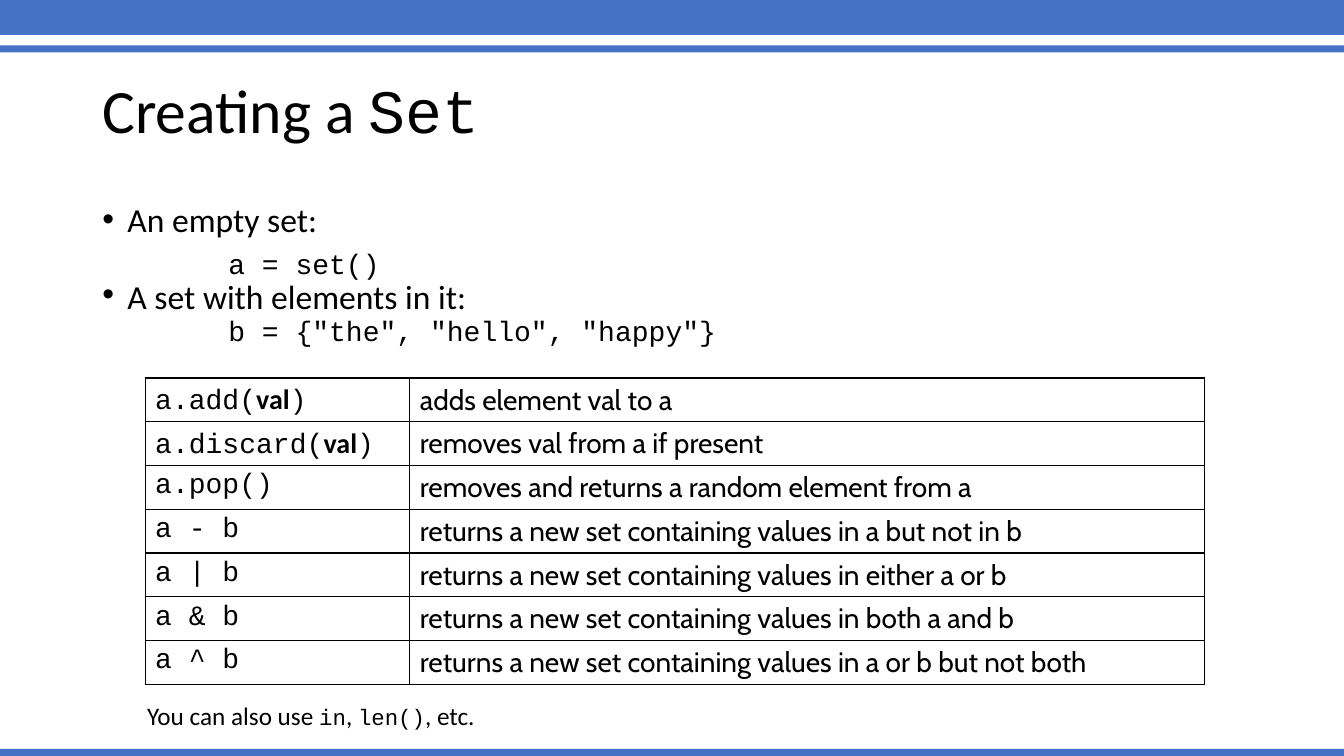
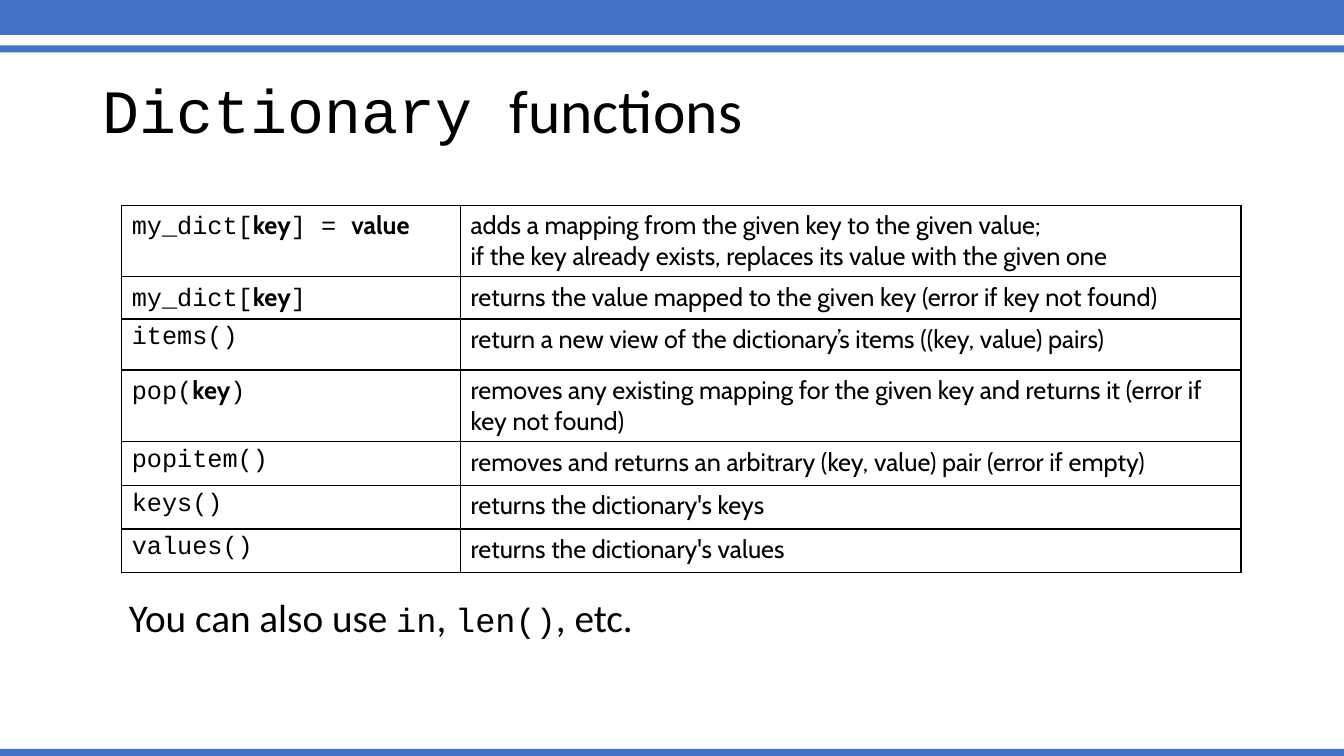
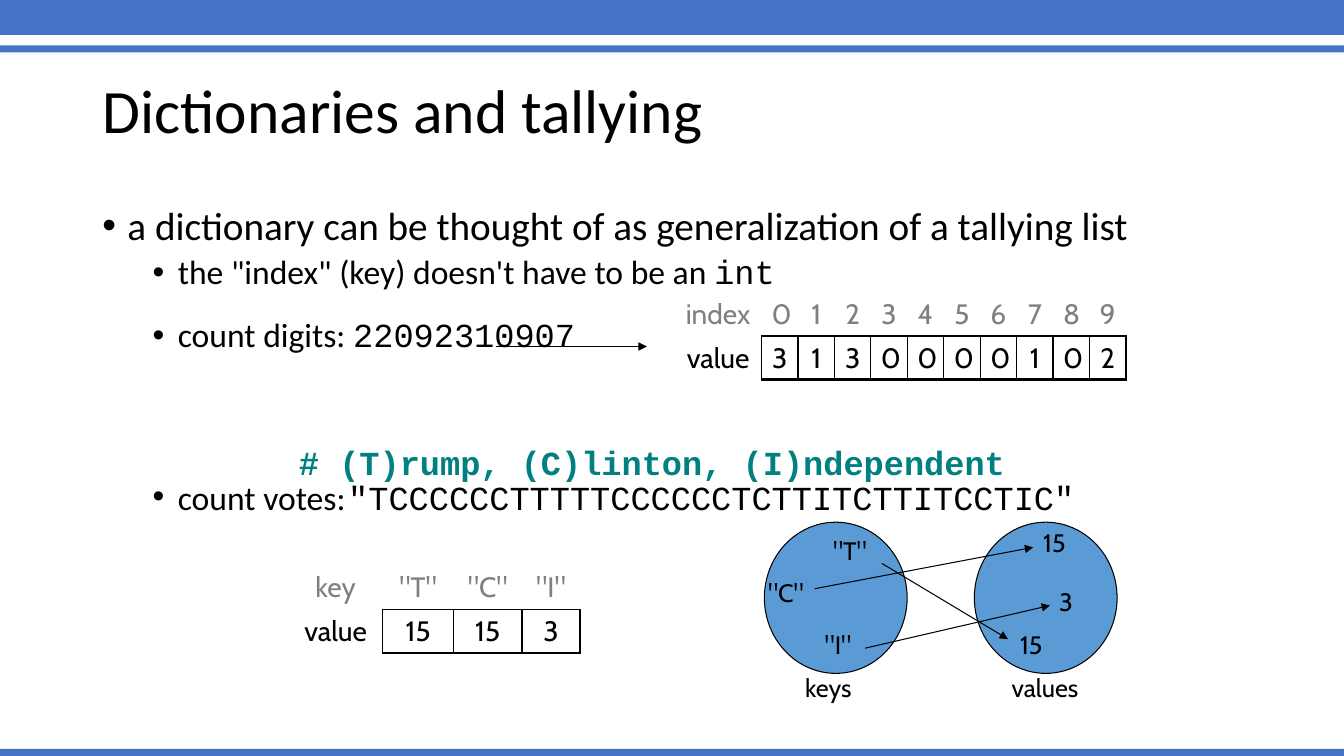
from dataclasses import dataclass
from itertools import accumulate

from lxml.etree import SubElement
from pptx import Presentation
from pptx.dml.color import RGBColor
from pptx.enum.shapes import MSO_CONNECTOR, MSO_SHAPE
from pptx.enum.text import MSO_ANCHOR, PP_ALIGN
from pptx.oxml.ns import qn
from pptx.util import Pt


@dataclass(frozen=True)
class Theme:
    band: str = "4472C4"
    disc: str = "5B9BD5"
    ink: str = "000000"
    gray: str = "808080"
    teal: str = "008080"
    sans: str = "Calibri"
    mono: str = "Courier New"
    cell: str = "Cabin"
    title: float = 44
    large: float = 28
    body: float = 24
    code: float = 20
    label: float = 18
    small: float = 16


T = Theme()
WIDTH, HEIGHT = 960, 540
TITLE = (66, 29, 828, 104)
BODY = (66, 144, 828, 343)
NO_STYLE = "{2D5ABB26-0587-4C30-8999-92F81FD0307C}"


def rgb(code):
    return RGBColor.from_string(code)


def pts(*values):
    return [Pt(v) for v in values]


def put(para, text, face=T.sans, size=T.body, bold=False, ink=T.ink):
    """Add text to a paragraph; a newline becomes a line break."""
    for i, line in enumerate(text.split("\n")):
        if i:
            para.add_line_break()
        run = para.add_run()
        run.text = line
        font = run.font
        font.name, font.size, font.bold = face, Pt(size), bold
        font.color.rgb = rgb(ink)


def code(para, text, size=T.code, **form):
    put(para, text, face=T.mono, size=size, **form)


def frame(slide, box, wrap=True, anchor=MSO_ANCHOR.TOP):
    area = slide.shapes.add_textbox(*pts(*box)).text_frame
    area.word_wrap = wrap
    area.vertical_anchor = anchor
    return area


def label(slide, x, y, wide, text):
    area = frame(slide, (x, y, wide, 29), wrap=False)
    put(area.paragraphs[0], text, face=T.cell, size=T.label)


def item(area, margin, above, lines, bullet=True, tab=None):
    """Add a list paragraph indented by margin, with space above it."""
    first = area.paragraphs[0]
    para = area.add_paragraph() if first.runs else first
    para.space_before, para.line_spacing = Pt(above), lines
    props = para._p.get_or_add_pPr()
    props.set("marL", str(Pt(margin)))
    props.set("indent", str(Pt(-18 if bullet else 0)))
    if bullet:
        SubElement(props, qn("a:buFont"), typeface="Arial")
        SubElement(props, qn("a:buChar"), char="•")
    if tab:
        tabs = SubElement(props, qn("a:tabLst"))
        SubElement(tabs, qn("a:tab"), pos=str(Pt(tab)), algn="l")
    return para


def shape(slide, kind, box, fill, line=None):
    form = slide.shapes.add_shape(kind, *pts(*box))
    form.shadow.inherit = False
    form.fill.solid()
    form.fill.fore_color.rgb = rgb(fill)
    if line:
        form.line.color.rgb = rgb(line)
        form.line.width = Pt(0.75)
    else:
        form.line.fill.background()
    return form


def arrow(slide, *ends):
    link = slide.shapes.add_connector(MSO_CONNECTOR.STRAIGHT, *pts(*ends))
    link.line.color.rgb = rgb(T.ink)
    link.line.width = Pt(0.75)
    props = link.element.spPr
    SubElement(props.find(qn("a:ln")), qn("a:tailEnd"), type="triangle")
    SubElement(props, qn("a:effectLst"))


def border(cell, sides):
    """Draw the sides given as a map from L, R, T, B to a width."""
    props = cell._tc.get_or_add_tcPr()
    for side in "LRTB":
        if side in sides:
            line = SubElement(props, qn("a:ln" + side), w=str(Pt(sides[side])))
            fill = SubElement(line, qn("a:solidFill"))
            SubElement(fill, qn("a:srgbClr"), val=T.ink)
    cell.fill.background()


def grid(slide, x, y, cols, rows):
    """Add an unstyled table with the given column widths and row heights."""
    box = pts(x, y, sum(cols), sum(rows))
    holder = slide.shapes.add_table(len(rows), len(cols), *box)
    table = holder.table
    table.first_row = table.horz_banding = False
    holder.element.find(".//" + qn("a:tableStyleId")).text = NO_STYLE
    for col, wide in zip(table.columns, cols):
        col.width = Pt(wide)
    for row, tall in zip(table.rows, rows):
        row.height = Pt(tall)
    return table


def calls(slide, x, y, cols, rows, data, size, bold):
    """Table of calls and meanings; bold is the face of the arguments,
    which stand between asterisks."""
    table = grid(slide, x, y, cols, rows)
    for r, (call, sense) in enumerate(data):
        left, right = table.cell(r, 0), table.cell(r, 1)
        para = left.text_frame.paragraphs[0]
        for i, part in enumerate(call.split("*")):
            if part:
                put(para, part, face=bold if i % 2 else T.mono,
                    size=size, bold=bool(i % 2))
        put(right.text_frame.paragraphs[0], sense, face=T.cell, size=size)
        for cell in (left, right):
            border(cell, dict.fromkeys("LRTB", 1))


def tally(slide, x, y, cols, heads, counts):
    """Two rows: gray heads over boxed counts, with a name at the left."""
    table = grid(slide, x, y, cols, [31.2] * 2)
    last = len(cols) - 1
    for r, row in enumerate((heads, counts)):
        for c, text in enumerate(row):
            cell = table.cell(r, c)
            para = cell.text_frame.paragraphs[0]
            para.alignment = PP_ALIGN.CENTER
            put(para, text, face=T.cell, size=T.code,
                ink=T.ink if r else T.gray)
            if r and c:
                sides = dict(L=1, T=1, R=2.25 if c == last else 1, B=2.25)
            elif r:
                sides = dict(R=1)
            else:
                sides = dict(B=1) if c else {}
            border(cell, sides)


def mapping(slide, x, y):
    """Two discs, with arrows from the keys to the values."""
    for left in (0, 150):
        shape(slide, MSO_SHAPE.OVAL, (x + left, y, 102, 108), T.disc, T.ink)
    for dx, dy, wide, text in (
        (42, 6, 40, '"T"'), (-4.5, 36, 40, '"C"'), (36, 73, 36, '"I"'),
        (175.5, 73, 34.5, "15"), (203.5, 42, 24.5, "3"),
        (192, 0, 34.5, "15"), (22, 104, 50, "keys"), (169.5, 104, 65, "values"),
    ):
        label(slide, x + dx, y + dy, wide, text)
    for x1, y1, x2, y2 in ((84, 29.5, 174, 83.5), (36, 47.5, 192, 18),
                           (72, 90, 204, 59.5)):
        arrow(slide, x + x1, y + y1, x + x2, y + y2)


def also(para, size, mono):
    put(para, "You can also use ", size=size)
    code(para, "in", size=mono)
    put(para, ", ", size=size)
    code(para, "len()", size=mono)
    put(para, ", etc.", size=size)


def bands(deck, slide):
    """Move the three bands to the master, behind all else."""
    tree = deck.slide_master.shapes.element
    for top, tall in ((0, 25), (32.4, 5), (535, 5)):
        band = shape(slide, MSO_SHAPE.RECTANGLE, (0, top, WIDTH, tall), T.band)
        tree.insert(2, band.element)


def page(deck, *parts):
    """Add a slide whose title is made of (text, face) parts."""
    slide = deck.slides.add_slide(deck.slide_layouts[5])
    title = slide.shapes.title
    title.left, title.top, title.width, title.height = pts(*TITLE)
    area = title.text_frame
    area.word_wrap = True
    area.vertical_anchor = MSO_ANCHOR.MIDDLE
    para = area.paragraphs[0]
    para.alignment, para.line_spacing = PP_ALIGN.LEFT, 0.9
    for text, face in parts:
        put(para, text, face=face, size=T.title)
    return slide


def sets(deck):
    slide = page(deck, ("Creating a ", T.sans), ("Set", T.mono))
    area = frame(slide, BODY)
    for head, line, lines in (
        ("An empty set:", "a = set()", 0.8),
        ("A set with elements in it:", 'b = {"the", "hello", "happy"}', 0.5),
    ):
        put(item(area, 18, 10, lines), head)
        code(item(area, 90, 10, lines, bullet=False), line)
    calls(slide, 103.7, 270, (189, 567.5), [31.2] * 7, (
        ("a.add(*val*)", "adds element val to a"),
        ("a.discard(*val*)", "removes val from a if present"),
        ("a.pop()", "removes and returns a random element from a"),
        ("a - b", "returns a new set containing values in a but not in b"),
        ("a | b", "returns a new set containing values in either a or b"),
        ("a & b", "returns a new set containing values in both a and b"),
        ("a ^ b", "returns a new set containing values in a or b but not both"),
    ), T.code, T.sans)
    note = frame(slide, (98, 497, 251, 29), wrap=False)
    also(note.paragraphs[0], T.label, T.small)
    return slide


def dicts(deck):
    slide = page(deck, ("Dictionary ", T.mono), ("functions", T.sans))
    rows = (50.8, 30, 36.5, 51, 31.2, 31.2, 31.2)
    calls(slide, 87, 146.6, (242, 557.5), rows, (
        ("my_dict[*key*] = *value*",
         "adds a mapping from the given key to the given value;\n"
         "if the key already exists, replaces its value with the given one"),
        ("my_dict[*key*]",
         "returns the value mapped to the given key (error if key not found)"),
        ("items()",
         "return a new view of the dictionary’s items ((key, value) pairs)"),
        ("pop(*key*)",
         "removes any existing mapping for the given key and returns it "
         "(error if key not found)"),
        ("popitem()",
         "removes and returns an arbitrary (key, value) pair (error if empty)"),
        ("keys()", "returns the dictionary's keys"),
        ("values()", "returns the dictionary's values"),
    ), T.label, T.cell)
    note = frame(slide, (85, 391, 809, 104), anchor=MSO_ANCHOR.MIDDLE)
    para = note.paragraphs[0]
    para.line_spacing = 0.9
    also(para, T.large, T.body)


def counts(deck):
    slide = page(deck, ("Dictionaries and tallying", T.sans))
    area = frame(slide, BODY)
    put(item(area, 18, 10, 0.9),
        "a dictionary can be thought of as generalization of a tallying list",
        size=T.large)
    para = item(area, 54, 5, 0.9)
    put(para, 'the "index" (key) doesn\'t have to be an ')
    code(para, "int", size=T.body)
    para = item(area, 54, 19, 0.9)
    put(para, "count digits: ")
    code(para, "22092310907", size=T.body)
    code(item(area, 140.5, 70, 0.7, bullet=False),
         "# (T)rump, (C)linton, (I)ndependent",
         size=T.body, bold=True, ink=T.teal)
    para = item(area, 54, 5, 0.7, tab=175.7)
    put(para, "count votes:\t")
    code(para, '"TCCCCCCTTTTTCCCCCCTCTTITCTTITCCTIC"', size=T.body)

    tally(slide, 482, 208.8, [62] + [26.05] * 10,
          ["index", *"0123456789"], ["value", *"3130000102"])
    arrow(slide, 354, 247.5, 462, 247.5)
    tally(slide, 206, 404, (67.5, 50.4, 49, 41.5),
          ("key", '"T"', '"C"', '"I"'), ("value", "15", "15", "3"))
    mapping(slide, 546, 373)


def main():
    deck = Presentation()
    deck.slide_width, deck.slide_height = pts(WIDTH, HEIGHT)
    bands(deck, sets(deck))
    dicts(deck)
    counts(deck)
    deck.save("out.pptx")


if __name__ == "__main__":
    main()
